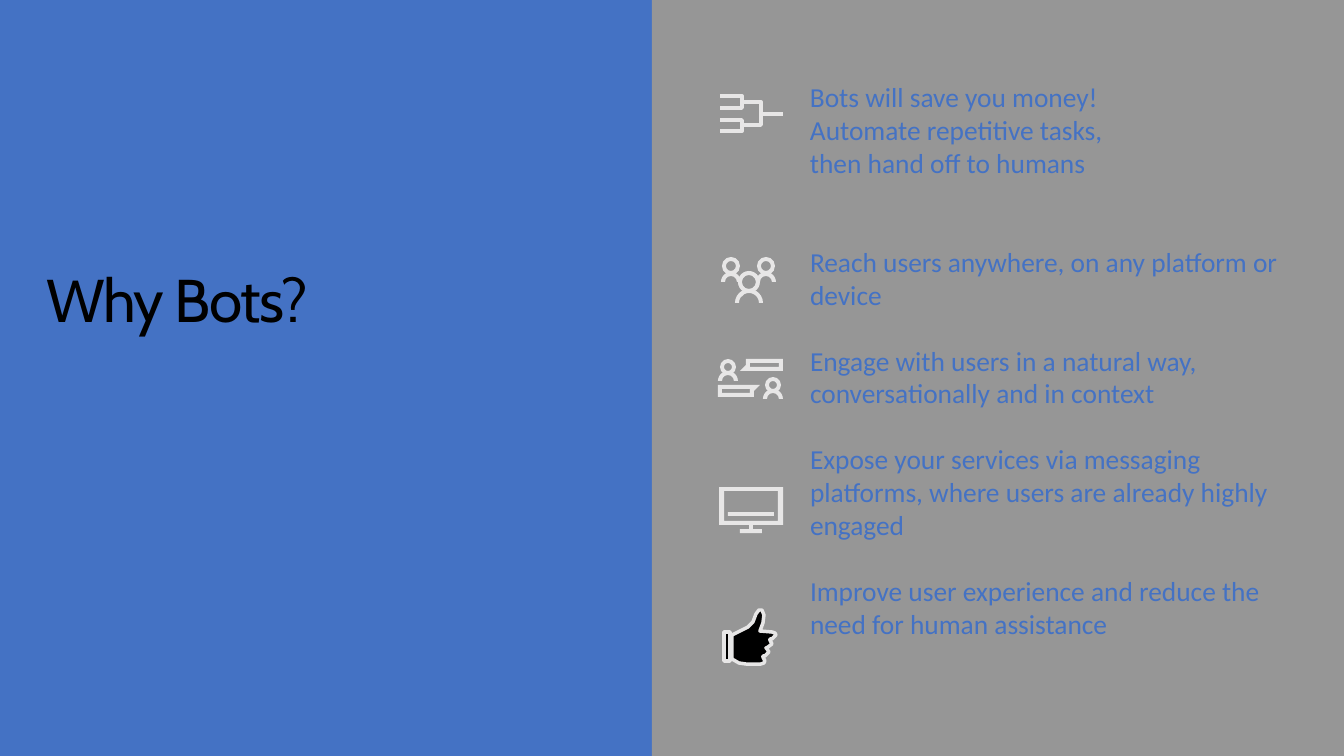
import pptx
import pptx.dml.color
import pptx.enum.shapes
import pptx.enum.text
import pptx.oxml.ns
import pptx.util
import lxml.etree

PX = 914400 / 100.8
COLORS = {"blue": "4472C4", "panel": "969696", "icon": "E7E6E6", "black": "000000"}
RGB = {name: pptx.dml.color.RGBColor.from_string(value) for name, value in COLORS.items()}
SHAPE = pptx.enum.shapes.MSO_SHAPE
STROKE = 4

deck = pptx.Presentation()
deck.slide_width, deck.slide_height = round(1344 * PX), round(756 * PX)
slide = deck.slides.add_slide(deck.slide_layouts[1])
slide.background.fill.solid()
slide.background.fill.fore_color.rgb = RGB["blue"]


def preset(kind, *box, color="icon"):
    """Add a borderless preset shape; box is left, top, width, height in px."""
    shape = slide.shapes.add_shape(kind, *[round(length * PX) for length in box])
    shape.shadow.inherit = False
    shape.fill.solid()
    shape.fill.fore_color.rgb = RGB[color]
    shape.line.fill.background()
    return shape


def outline(*contours, close=True, fill="icon", stroke=None, width=2.75):
    """Add one freeform made of several contours, each a list of px points."""
    builder = slide.shapes.build_freeform(*contours[0][0], scale=PX)
    for number, points in enumerate(contours):
        if number:
            builder.move_to(*points[0])
        builder.add_line_segments(points[1:], close=close)
    shape = builder.convert_to_shape()
    shape.shadow.inherit = False
    if fill:
        shape.fill.solid()
        shape.fill.fore_color.rgb = RGB[fill]
    else:
        shape.fill.background()
    if stroke:
        shape.line.color.rgb = RGB[stroke]
        shape.line.width = pptx.util.Pt(width)
    else:
        shape.line.fill.background()


# Title on the blue half, grey panel behind the list
title = slide.shapes.title
panel = preset(SHAPE.RECTANGLE, 652, 0, 692, 756, color="panel")
title.element.addprevious(panel.element)
title.left, title.top, title.width, title.height = [round(n * PX) for n in (36, 262, 595, 80)]
title.text_frame.text = "Why Bots?"
title.text_frame.auto_size = pptx.enum.text.MSO_AUTO_SIZE.NONE
title.text_frame.vertical_anchor = pptx.enum.text.MSO_ANCHOR.TOP
heading = title.text_frame.paragraphs[0]
heading.alignment = pptx.enum.text.PP_ALIGN.LEFT
heading.line_spacing = 0.95
heading.space_after = pptx.util.Pt(11.8)
heading.font.name = "Cabin"
heading.font.size = pptx.util.Pt(43.1)
heading.font.color.rgb = RGB["black"]
heading.runs[0].font.bold = False
heading.runs[0].font._element.set("spc", "-100")

# Reasons
savings = slide.shapes.add_textbox(0, 0, 0, 0)
reasons = [
    (savings, (790, 64, 524, 199), [
        "Bots will save you money!\vAutomate repetitive tasks,\vthen hand off to humans",
    ]),
    (slide.placeholders[1], (790, 229, 513, 433), [
        "Reach users anywhere, on any platform or device",
        "Engage with users in a natural way, conversationally and in context",
        "Expose your services via messaging platforms, where users are already highly engaged",
        "Improve user experience and reduce the need for human assistance",
    ]),
]
for holder, box, lines in reasons:
    holder.left, holder.top, holder.width, holder.height = [round(n * PX) for n in box]
    frame = holder.text_frame
    frame.word_wrap = True
    frame.auto_size = pptx.enum.text.MSO_AUTO_SIZE.NONE
    frame.margin_left = frame.margin_right = round(20 * PX)
    frame.margin_top = frame.margin_bottom = round(16 * PX)
    frame.text = "\n".join(lines)
    for number, reason in enumerate(frame.paragraphs):
        properties = reason._p.get_or_add_pPr()
        properties.set("marL", "0")
        properties.set("indent", "0")
        lxml.etree.SubElement(properties, pptx.oxml.ns.qn("a:buNone"))
        reason.space_before = pptx.util.Pt(5.9 if number else 0)
        reason.space_after = pptx.util.Pt(17.6)
        reason.font.name = "Calibri"
        reason.font.size = pptx.util.Pt(19.6)
        reason.font.color.rgb = RGB["blue"]

# Merging branches
for left, top, right, bottom in [(720, 96, 742, 108), (720, 120, 742, 131), (742, 102, 761, 125)]:
    outline([(left, top), (right, top), (right, bottom), (left, bottom)],
            close=False, fill=None, stroke="icon")
trunk = slide.shapes.add_connector(
    pptx.enum.shapes.MSO_CONNECTOR.STRAIGHT, *[round(n * PX) for n in (761, 114, 783, 114)])
trunk.line.color.rgb = RGB["icon"]
trunk.line.width = pptx.util.Pt(2.75)
lxml.etree.SubElement(trunk.element.spPr, pptx.oxml.ns.qn("a:effectLst"))

# People: three users, then two chat partners (centre, top, bottom, head, shoulders)
people = [
    (731, 257, 282, 18, 20), (766, 257, 282, 18, 20), (749, 271, 303, 22, 28),
    (728, 359, 381, 16, 20), (773, 377, 399, 16, 20),
]
for center, top, bottom, head, shoulders in people:
    face = preset(SHAPE.DONUT, center - head // 2, top, head, head)
    face.adjustments[0] = STROKE / head
    torso = preset(SHAPE.BLOCK_ARC, center - shoulders // 2, bottom - shoulders // 2,
                   shoulders, shoulders)
    torso.adjustments[2] = STROKE / shoulders

# Speech bubbles
outline([(746, 359), (746, 365), (740, 371), (783, 371), (783, 359)],
        [(750, 363), (779, 363), (779, 367), (750, 367)])
outline([(718, 385), (760, 385), (754, 391), (754, 397), (718, 397)],
        [(722, 389), (722, 393), (750, 393), (750, 389)])

# Monitor
outline([(719, 487), (719, 525), (749, 525), (749, 529), (740, 529), (740, 533),
         (762, 533), (762, 529), (753, 529), (753, 525), (783, 525), (783, 487)],
        [(724, 491), (778, 491), (778, 521), (724, 521)])
preset(SHAPE.RECTANGLE, 728, 512, 46, 4)

# Thumbs up: cuff, then hand
outline([(724, 632), (730, 632), (730, 661), (724, 661)],
        [(772, 632), (760, 631), (763, 623), (764, 615), (762, 610), (759, 610),
         (756, 614), (753, 622), (748, 627), (742, 630), (732, 635), (732, 659),
         (739, 663), (746, 664), (761, 664), (764, 663), (765, 661), (763, 657),
         (763, 656), (765, 656), (769, 652), (767, 649), (766, 648), (768, 647),
         (772, 644), (770, 640), (770, 639), (772, 639), (776, 635), (775, 633)],
        fill="black", stroke="icon", width=2.5)

deck.save("out.pptx")
